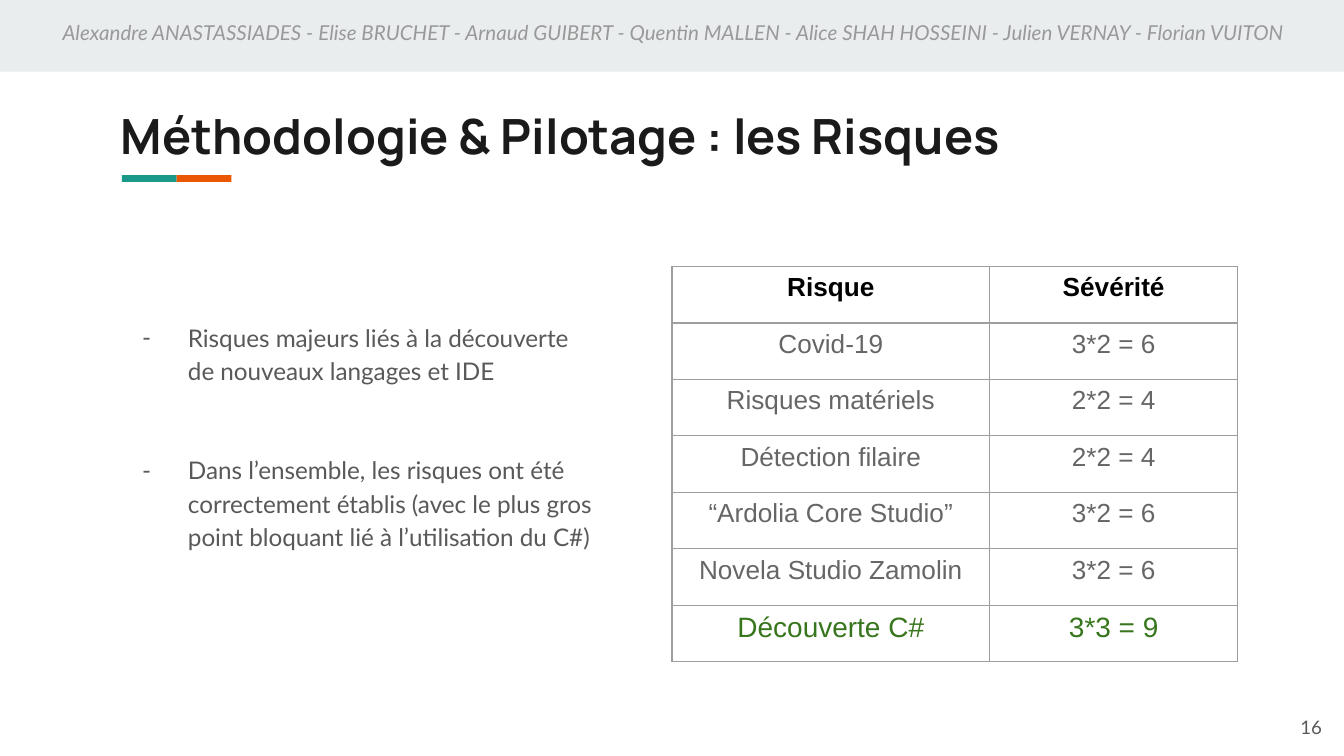
from dataclasses import dataclass

from lxml.etree import SubElement
from pptx import Presentation
from pptx.dml.color import RGBColor
from pptx.enum.shapes import MSO_SHAPE as Shape
from pptx.enum.text import MSO_ANCHOR as Anchor, PP_ALIGN as Align
from pptx.oxml.ns import qn
from pptx.util import Inches, Pt


@dataclass(frozen=True)
class Theme:
    heading_font: str = "Manrope"
    body_font: str = "Lato"
    table_font: str = "Arial"
    band: str = "E9EDEE"
    teal: str = "1A9988"
    orange: str = "EB5600"
    title: str = "1A1A1A"
    body: str = "595959"
    muted: str = "999999"
    header: str = "000000"
    cell: str = "666666"
    highlight: str = "38761D"
    border: str = "9E9E9E"
    title_size: int = 26
    body_size: int = 13
    team_size: int = 11
    number_size: int = 10
    cell_size: int = 14
    highlight_size: int = 15


class SlideBuilder:
    """Draws on one slide; every area is (left, top, width, height) in % of it."""

    def __init__(self, deck, theme):
        self.deck = deck
        self.theme = theme
        self.slide = deck.slides.add_slide(deck.slide_layouts[6])

    def across(self, percent):
        return round(self.deck.slide_width * percent / 100)

    def down(self, percent):
        return round(self.deck.slide_height * percent / 100)

    def place(self, area):
        left, top, width, height = area
        return (self.across(left), self.down(top),
                self.across(width), self.down(height))

    def style(self, para, font, size, color, bold=False, italic=False):
        para.font.name = font
        para.font.size = Pt(size)
        para.font.color.rgb = RGBColor.from_string(color)
        para.font.bold = bold
        para.font.italic = italic

    def bar(self, area, color):
        shape = self.slide.shapes.add_shape(Shape.RECTANGLE, *self.place(area))
        shape.shadow.inherit = False
        shape.fill.solid()
        shape.fill.fore_color.rgb = RGBColor.from_string(color)
        shape.line.fill.background()

    def frame(self, area, anchor=Anchor.TOP):
        """Add a wrapping text box and return its text frame."""
        frame = self.slide.shapes.add_textbox(*self.place(area)).text_frame
        frame.word_wrap = True
        frame.vertical_anchor = anchor
        frame.margin_left = frame.margin_right = Inches(0.1)
        frame.margin_top = frame.margin_bottom = Inches(0.1)
        return frame

    def text(self, area, text, *font, align=Align.LEFT, anchor=Anchor.TOP, **emphasis):
        para = self.frame(area, anchor).paragraphs[0]
        para.text = text
        para.alignment = align
        self.style(para, *font, **emphasis)

    def dash_list(self, area, items):
        """Each item is a list of lines; only its first line has a dash."""
        theme = self.theme
        frame = self.frame(area)
        para = frame.paragraphs[0]
        for item_index, lines in enumerate(items):
            for line_index, line in enumerate(lines):
                first_line = line_index == 0
                if item_index or line_index:
                    para = frame.add_paragraph()
                para.text = line
                para.line_spacing = 1.15
                if item_index and first_line:
                    para.space_before = Pt(35)
                properties = para._p.get_or_add_pPr()
                properties.set("marL", str(Inches(0.5)))
                properties.set("indent", str(Inches(-0.34 if first_line else 0)))
                if first_line:
                    SubElement(properties, qn("a:buFont"), typeface=theme.body_font)
                    SubElement(properties, qn("a:buChar"), char="-")
                else:
                    SubElement(properties, qn("a:buNone"))
                self.style(para, theme.body_font, theme.body_size, theme.body)

    def border(self, cell):
        properties = cell._tc.get_or_add_tcPr()
        for position, side in enumerate(("a:lnL", "a:lnR", "a:lnT", "a:lnB")):
            line = SubElement(properties, qn(side), w=str(Pt(0.75)))
            fill = SubElement(line, qn("a:solidFill"))
            SubElement(fill, qn("a:srgbClr"), val=self.theme.border)
            properties.insert(position, line)

    def table(self, area, rows, column_shares):
        """The first row is the header, the last one is highlighted."""
        theme = self.theme
        table = self.slide.shapes.add_table(
            len(rows), len(column_shares), *self.place(area)).table
        table.first_row = table.horz_banding = False
        for column, share in zip(table.columns, column_shares):
            column.width = self.across(share)
        fonts = [(theme.cell_size, theme.cell)] * len(rows)
        fonts[0] = (theme.cell_size, theme.header, True)
        fonts[-1] = (theme.highlight_size, theme.highlight)
        for row_index, (row, font) in enumerate(zip(rows, fonts)):
            for column_index, value in enumerate(row):
                cell = table.cell(row_index, column_index)
                cell.fill.background()
                self.border(cell)
                para = cell.text_frame.paragraphs[0]
                para.text = value
                para.alignment = Align.CENTER
                self.style(para, theme.table_font, *font)


TEAM = ("Alexandre ANASTASSIADES", "Elise BRUCHET", "Arnaud GUIBERT",
        "Quentin MALLEN", "Alice SHAH HOSSEINI", "Julien VERNAY",
        "Florian VUITON")
FINDINGS = [
    ["Risques majeurs liés à la découverte",
     "de nouveaux langages et IDE"],
    ["Dans l’ensemble, les risques ont été",
     "correctement établis (avec le plus gros",
     "point bloquant lié à l’utilisation du C#)"],
]
RISKS = [
    ("Risque", "Sévérité"),
    ("Covid-19", "3*2 = 6"),
    ("Risques matériels", "2*2 = 4"),
    ("Détection filaire", "2*2 = 4"),
    ("“Ardolia Core Studio”", "3*2 = 6"),
    ("Novela Studio Zamolin", "3*2 = 6"),
    ("Découverte C#", "3*3 = 9"),
]


def main():
    deck = Presentation()
    deck.slide_width = Inches(10)
    deck.slide_height = deck.slide_width * 9 // 16
    theme = Theme()
    page = SlideBuilder(deck, theme)

    page.bar((0, 0, 100, 9.48), theme.band)
    for index, color in enumerate((theme.teal, theme.orange)):
        page.bar((9.07 + 4.08 * index, 23.15, 4.08, 0.9), color)
    page.text((8, 12.27, 84.1, 10.5), "Méthodologie & Pilotage : les Risques",
              theme.heading_font, theme.title_size, theme.title, bold=True)
    page.text((93.35, 92.35, 6, 7.65), "16",
              theme.body_font, theme.number_size, theme.body,
              align=Align.RIGHT, anchor=Anchor.MIDDLE)
    page.dash_list((8, 40.4, 84.1, 43.9), FINDINGS)
    page.table((50, 35.25, 42.1, 52.3), RISKS, (23.64, 18.46))
    page.text((0.8, 0.95, 98.7, 6.95), " - ".join(TEAM),
              theme.body_font, theme.team_size, theme.muted,
              align=Align.CENTER, italic=True)
    deck.save("out.pptx")


if __name__ == "__main__":
    main()
